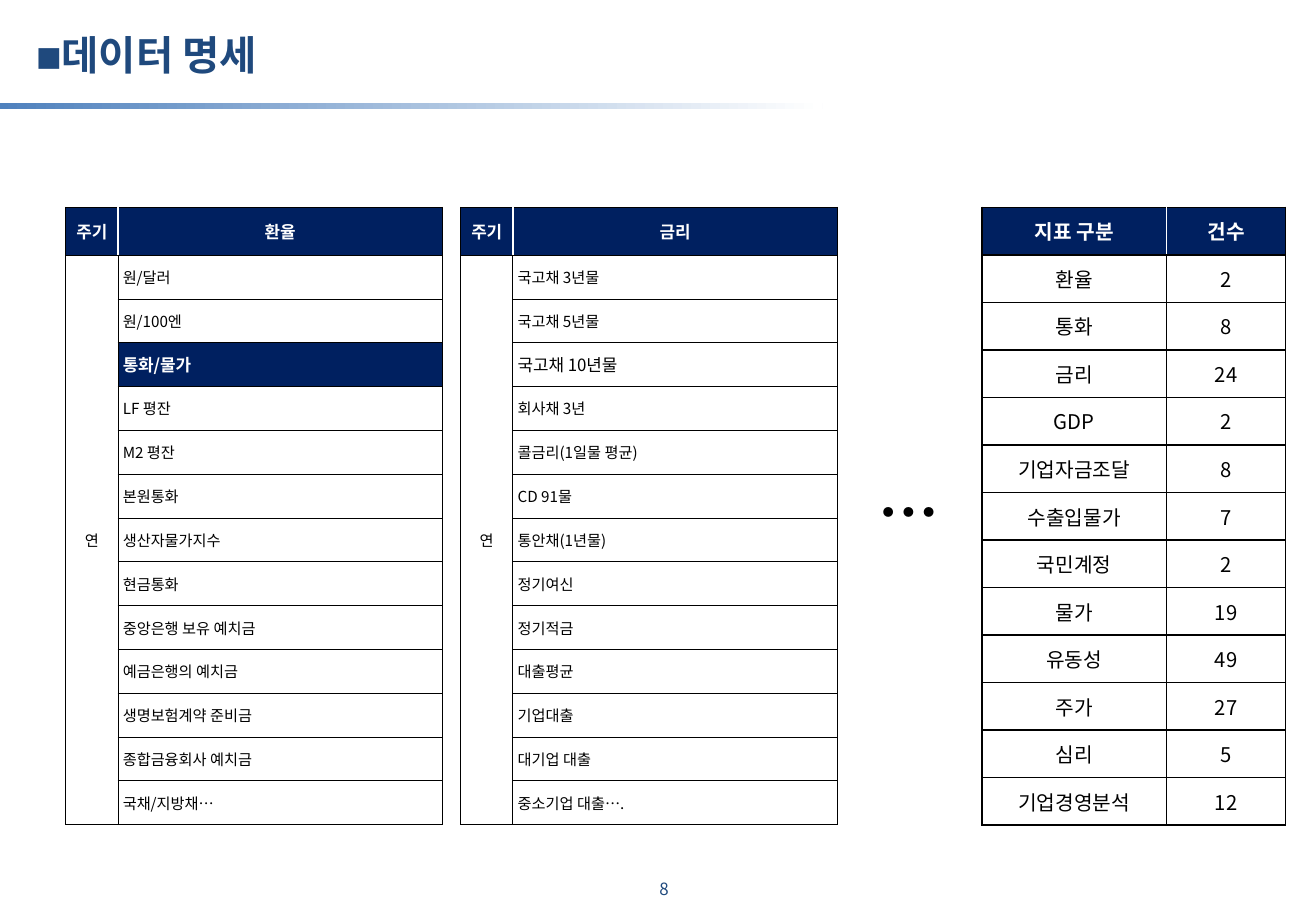
from dataclasses import dataclass

from lxml import etree
from pptx import Presentation
from pptx.dml.color import RGBColor
from pptx.enum import shapes, text
from pptx.oxml import ns
from pptx.util import Emu, Inches, Pt

FONT = "Noto Sans CJK KR"
NAVY = RGBColor(0x00, 0x20, 0x60)
TITLE_BLUE = RGBColor(0x1F, 0x49, 0x7D)
BAR_BLUE = RGBColor(0x4F, 0x81, 0xBD)
WHITE = RGBColor(0xFF, 0xFF, 0xFF)
BLACK = RGBColor(0x00, 0x00, 0x00)
CENTER, LEFT = text.PP_ALIGN.CENTER, text.PP_ALIGN.LEFT
WIDTH, HEIGHT = Inches(10.83), Inches(7.5)


@dataclass(frozen=True)
class Style:
    size: float
    color: RGBColor = BLACK
    bold: bool = False
    align: text.PP_ALIGN = LEFT


@dataclass(frozen=True)
class Box:
    """A place on the slide, in percent of its width and height."""
    left: float
    top: float
    width: float
    height: float

    def place(self) -> tuple[Emu, Emu, Emu, Emu]:
        return across(self.left), down(self.top), across(self.width), down(self.height)


@dataclass(frozen=True)
class Label:
    words: str
    box: Box
    style: Style
    insets: tuple[float, float, float, float]
    hanging: float = 0
    space_before: float = 0
    grows: bool = True


@dataclass(frozen=True)
class Listing:
    """A two-column table; columns and rows in percent of the slide."""
    left: float
    columns: tuple[float, float]
    header_height: float
    row_height: float
    rows: list[tuple[str, str]]
    header: Style
    first: Style
    second: Style
    side_inset: float
    border: float
    fill: RGBColor | None = None
    merge_first: bool = False
    header_like: str = ""
    larger: str = ""


def across(percent: float) -> Emu:
    return Emu(round(WIDTH * percent / 100))


def down(percent: float) -> Emu:
    return Emu(round(HEIGHT * percent / 100))


def write(frame, words: str, style: Style) -> None:
    frame.text = words
    line = frame.paragraphs[0]
    line.alignment = style.align
    for run in line.runs:
        run.font.name, run.font.size = FONT, Pt(style.size)
        run.font.bold, run.font.color.rgb = style.bold, style.color
        east_asian = etree.SubElement(run.font._element, ns.qn("a:ea"))
        east_asian.set("typeface", FONT)


def draw_label(slide, label: Label) -> None:
    frame = slide.shapes.add_textbox(*label.box.place()).text_frame
    frame.word_wrap = True
    frame.margin_left, frame.margin_top, frame.margin_right, frame.margin_bottom = map(
        Inches, label.insets)
    if label.grows:
        frame.auto_size = text.MSO_AUTO_SIZE.SHAPE_TO_FIT_TEXT
    write(frame, label.words, label.style)
    line = frame.paragraphs[0]
    if label.space_before:
        line.space_before = Pt(label.space_before)
    if label.hanging:
        properties = line._p.get_or_add_pPr()
        properties.set("marL", str(Inches(label.hanging)))
        properties.set("indent", str(-Inches(label.hanging)))


def draw_title_bar(slide) -> None:
    bar = slide.shapes.add_shape(shapes.MSO_SHAPE.RECTANGLE,
                                 *Box(-0.09, 11.33, 62.6, 0.67).place())
    bar.shadow.inherit = False
    bar.line.fill.background()
    bar.fill.gradient()
    bar.fill.gradient_angle = 0
    for stop, color, position in zip(bar.fill.gradient_stops, (BAR_BLUE, WHITE), (0, 1)):
        stop.color.rgb, stop.position = color, position


def set_borders(cell, width: float, white_side: str) -> None:
    """Black borders all round, but for the named side (L, R or none)."""
    properties = cell._tc.get_or_add_tcPr()
    for index, side in enumerate("LRTB"):
        inner = side == white_side
        line = etree.Element(ns.qn(f"a:ln{side}"), w=str(Pt(0.96 if inner else width)))
        solid = etree.SubElement(line, ns.qn("a:solidFill"))
        etree.SubElement(solid, ns.qn("a:srgbClr"), val=str(WHITE if inner else BLACK))
        properties.insert(index, line)


def draw_listing(slide, listing: Listing) -> None:
    count = len(listing.rows)
    height = listing.header_height + (count - 1) * listing.row_height
    box = Box(listing.left, 22.75, sum(listing.columns), height)
    table = slide.shapes.add_table(count, 2, *box.place()).table
    table.horz_banding = table.first_row = False
    for column, width in zip(table.columns, listing.columns):
        column.width = across(width)
    for r, words_in_row in enumerate(listing.rows):
        table.rows[r].height = down(listing.row_height if r else listing.header_height)
        for c, words in enumerate(words_in_row):
            cell = table.cell(r, c)
            style = (listing.first, listing.second)[c] if r else listing.header
            fill = listing.fill if r else NAVY
            if words == listing.header_like:
                style, fill = Style(listing.header.size, WHITE, True), NAVY
            elif words == listing.larger:
                style = Style(listing.header.size)
            if fill is None:
                cell.fill.background()
            else:
                cell.fill.solid()
                cell.fill.fore_color.rgb = fill
            set_borders(cell, listing.border, "" if r else "RL"[c])
            cell.vertical_anchor = text.MSO_ANCHOR.MIDDLE
            cell.margin_left = cell.margin_right = Inches(listing.side_inset)
            cell.margin_top = cell.margin_bottom = Inches(0.05)
            if words:
                write(cell.text_frame, words, style)
    if listing.merge_first:
        table.cell(1, 0).merge(table.cell(count - 1, 0))


def yearly(left: float, subject: str, series: list[str],
           header_like: str = "", larger: str = "") -> Listing:
    rows = [("주기", subject)] + [("" if i else "연", name) for i, name in enumerate(series)]
    return Listing(left, (3.97, 24.65), 5.25, 4.81, rows, Style(10, WHITE, True, CENTER),
                   Style(9, align=CENTER), Style(9), 0.04, 0.5, merge_first=True,
                   header_like=header_like, larger=larger)


EXCHANGE_RATES = ["원/달러", "원/100엔", "통화/물가", "LF 평잔", "M2 평잔", "본원통화",
                  "생산자물가지수", "현금통화", "중앙은행 보유 예치금", "예금은행의 예치금",
                  "생명보험계약 준비금", "종합금융회사 예치금", "국채/지방채…"]
INTEREST_RATES = ["국고채 3년물", "국고채 5년물", "국고채 10년물", "회사채 3년",
                  "콜금리(1일물 평균)", "CD 91물", "통안채(1년물)", "정기여신", "정기적금",
                  "대출평균", "기업대출", "대기업 대출", "중소기업 대출…."]
COUNTS = [("지표 구분", "건수"), ("환율", "2"), ("통화", "8"), ("금리", "24"), ("GDP", "2"),
          ("기업자금조달", "8"), ("수출입물가", "7"), ("국민계정", "2"), ("물가", "19"),
          ("유동성", "49"), ("주가", "27"), ("심리", "5"), ("기업경영분석", "12")]
COUNT_STYLE = Style(12, align=CENTER)

LISTINGS = [
    yearly(4.99, "환율", EXCHANGE_RATES, header_like="통화/물가"),
    yearly(35, "금리", INTEREST_RATES, larger="국고채 10년물"),
    Listing(74.61, (14.04, 9.05), 5.22, 5.22, COUNTS, Style(12, WHITE, True, CENTER),
            COUNT_STYLE, COUNT_STYLE, 0.01, 0.96, fill=WHITE),
]
LABELS = [
    Label("8", Box(47.55, 95.33, 5.08, 4.13), Style(10, TITLE_BLUE, align=CENTER),
          (0.08, 0.08, 0, 0), space_before=4, grows=False),
    Label("◼데이터 명세", Box(2.77, 2.67, 76.92, 6.67), Style(24, TITLE_BLUE, True),
          (0, 0.05, 0.1, 0.05), hanging=0.2),
    Label("…", Box(65.84, 51.47, 6.56, 9.33), Style(36, BLACK, True),
          (0.1, 0.05, 0.1, 0.05)),
]


def main() -> None:
    deck = Presentation()
    deck.slide_width, deck.slide_height = WIDTH, HEIGHT
    slide = deck.slides.add_slide(deck.slide_layouts[6])
    draw_title_bar(slide)
    for label in LABELS:
        draw_label(slide, label)
    for listing in LISTINGS:
        draw_listing(slide, listing)
    deck.save("out.pptx")


if __name__ == "__main__":
    main()
